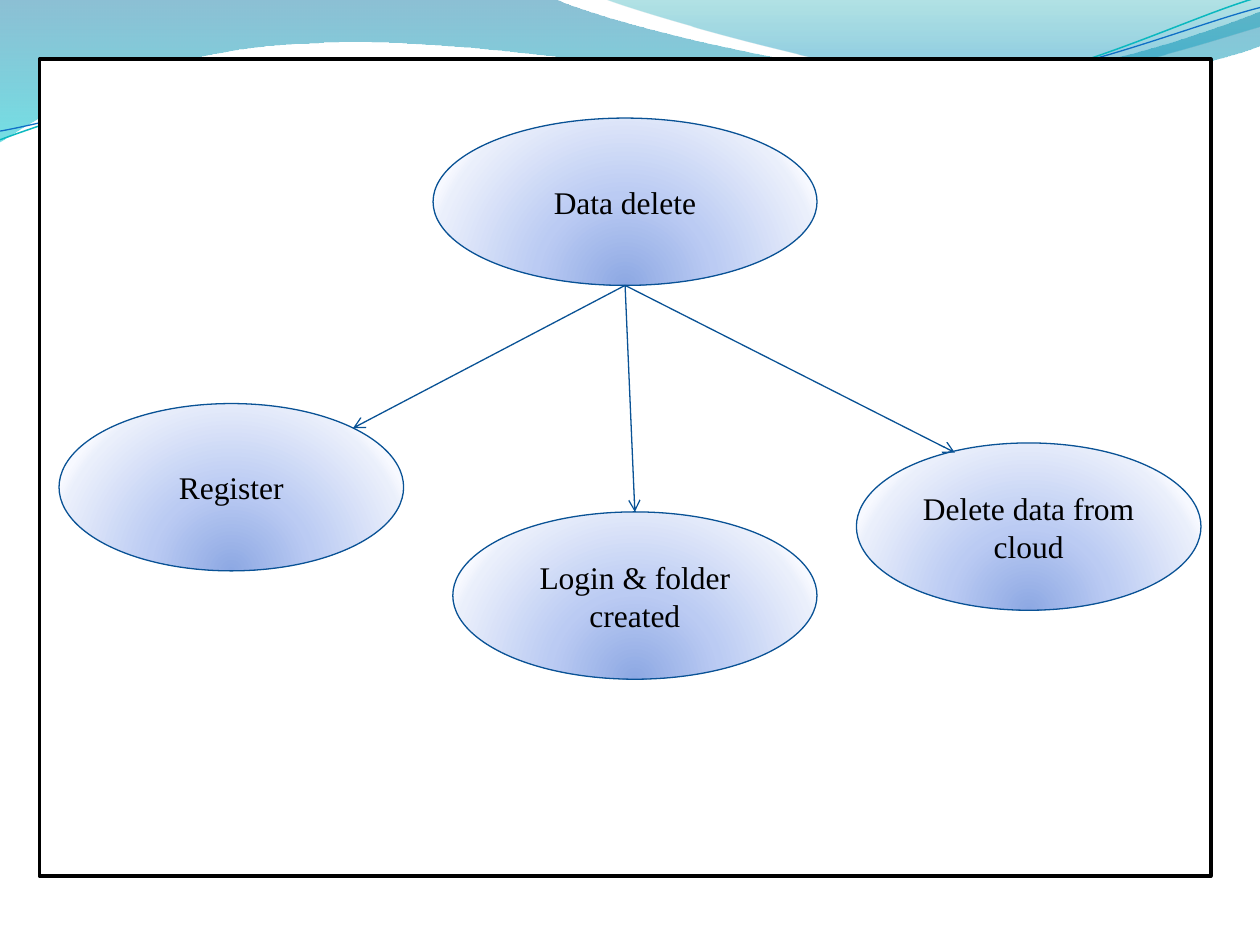
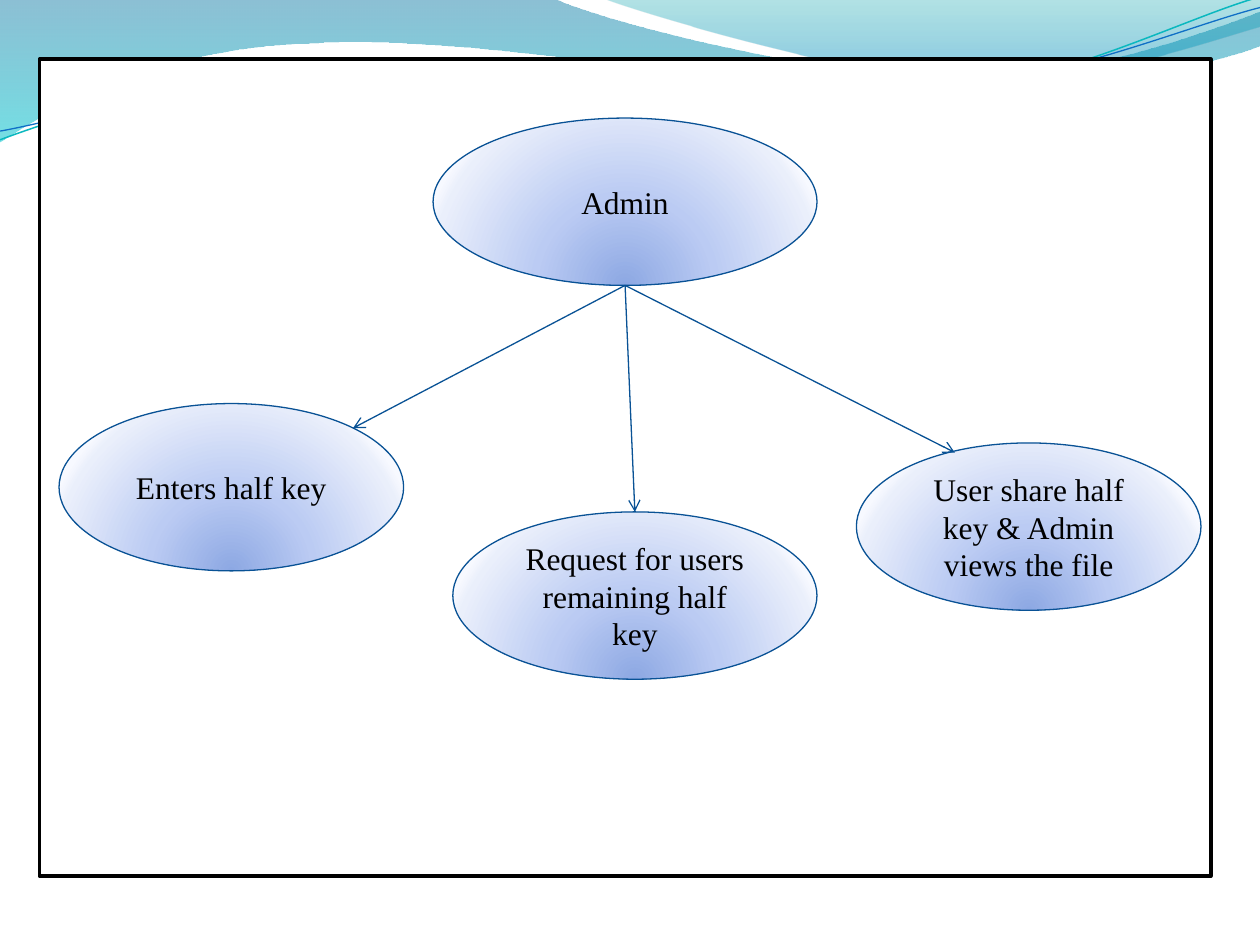
from lxml import etree
from pptx import Presentation
from pptx.dml.color import RGBColor
from pptx.enum import shapes, text
from pptx.oxml import parse_xml
from pptx.oxml.ns import nsdecls, qn
from pptx.util import Pt

DIAGRAMS = [
    ("Data delete", ["Register", "Login & folder created", "Delete data from cloud"]),
    ("Admin", ["Enters half key", "Request for users remaining half key",
               "User share half key & Admin views the file"]),
]

FONT = "Times New Roman"
BLACK = RGBColor(0x00, 0x00, 0x00)
WHITE = RGBColor(0xFF, 0xFF, 0xFF)
NAVY = RGBColor(0x09, 0x52, 0x95)
TEAL = RGBColor(0x0A, 0xB8, 0xBF)
BLUE = RGBColor(0x0F, 0x6F, 0xC6)
NODE_STOPS = [(0, RGBColor(0x8D, 0xA8, 0xE3), 100), (43, RGBColor(0xBB, 0xCB, 0xF3), 100),
              (93, RGBColor(0xEA, 0xEF, 0xFB), 100), (100, RGBColor(0xF7, 0xF9, 0xFF), 100)]
LEFT_STOPS = [(0, RGBColor(0x00, 0x74, 0xA1), 45), (100, RGBColor(0x00, 0xC6, 0xCF), 55)]
RIGHT_STOPS = [(0, RGBColor(0x00, 0xA1, 0xA9), 30), (80, RGBColor(0x00, 0x8B, 0xBF), 45)]
DOWNWARD = '<a:lin ang="5400000" scaled="0"/>'
FROM_BELOW = '<a:path path="circle"><a:fillToRect l="50000" t="130000" r="50000" b="-30000"/></a:path>'

FRAME = (22.5, 33.75, 669.4, 466.9)
NODE_H = 95.6
ROOT = (247.5, 67.5, 219.4, NODE_H)
CHILDREN = [((33.75, 230.6, 196.9, NODE_H), (201.8, 244.6)),
            ((258.75, 292.5, 208.1, NODE_H), (362.8, 292.5)),
            ((489.4, 253.1, 196.9, NODE_H), (545.6, 258.6))]
MIDDLE = 1

BANDS = [
    ([(0, 0), (316.8, -0.7),
      [(342.7, 12.2), (478.1, 45.4), (545.8, 45.4)],
      [(614.2, 45.4), (689.8, 18.7), (720, 6.5)], (720.7, 25.9),
      [(707.8, 31.7), (626.4, 54.7), (537.1, 54)],
      [(446.4, 54), (275, 20.2), (185, 24.5)],
      [(92.9, 25.9), (33.1, 59.8), (-0.7, 81.4)], (0, 0)], LEFT_STOPS),
    ([(344.9, -0.7),
      [(366.5, 7.9), (491, 44.6), (553.7, 46.8)],
      [(616.3, 49.7), (691.9, 23), (720, 15.1)], (720, 0), (344.9, -0.7)], RIGHT_STOPS),
]
WAVES = [
    ([(0, 79.9),
      [(34.6, 67), (113.8, 41), (199.4, 37.4)],
      [(284.4, 33.8), (427, 64.1), (513.4, 57.6)],
      [(599.8, 51.1), (675.4, 10.8), (718.6, -1.4)]], TEAL, 0.85),
    ([(0, 74.9),
      [(33.8, 69.1), (118.1, 43.9), (203.8, 40.3)],
      [(290.2, 36.7), (429.8, 60.5), (516.2, 54)],
      [(601.9, 48.2), (677.5, 15.1), (720, 4.3)]], BLUE, 0.75),
]


def fill_gradient(sp, stops, direction):
    gs = "".join(
        f'<a:gs pos="{pos * 1000}"><a:srgbClr val="{color}">'
        + (f'<a:alpha val="{alpha * 1000}"/>' if alpha < 100 else "")
        + "</a:srgbClr></a:gs>"
        for pos, color, alpha in stops)
    sp.fill.background()
    spPr = sp.element.spPr
    spPr.replace(spPr.find(qn("a:noFill")), parse_xml(
        f'<a:gradFill {nsdecls("a")} rotWithShape="1"><a:gsLst>{gs}</a:gsLst>{direction}</a:gradFill>'))


def set_line(sp, color, width):
    sp.line.color.rgb = color
    sp.line.width = Pt(width)


def add_outline(slide, outline, close):
    steps = [step if isinstance(step, list) else [step] for step in outline]
    start, *rest = [(Pt(x), Pt(y)) for step in steps for x, y in step]
    builder = slide.shapes.build_freeform(*start)
    builder.add_line_segments(rest, close=close)
    sp = builder.convert_to_shape()
    sp.shadow.inherit = False
    lines = iter(list(sp.element.iter(qn("a:lnTo"))))
    for step in steps[1:]:
        first, *others = [next(lines) for _ in step]
        if others:
            curve = etree.Element(qn("a:cubicBezTo"))
            first.addprevious(curve)
            for line in (first, *others):
                curve.append(line[0])
                line.getparent().remove(line)
    return sp


def decorate_layout(layout, slide):
    for ph in list(layout.placeholders):
        layout.shapes.element.remove(ph.element)
    parts = []
    for outline, stops in BANDS:
        sp = add_outline(slide, outline, True)
        fill_gradient(sp, stops, DOWNWARD)
        sp.line.fill.background()
        parts.append(sp)
    for outline, color, width in WAVES:
        sp = add_outline(slide, outline, False)
        sp.fill.background()
        set_line(sp, color, width)
        parts.append(sp)
    for sp in parts:
        layout.shapes.element.append(sp.element)


def add_frame(slide):
    sp = slide.shapes.add_shape(shapes.MSO_SHAPE.RECTANGLE, *map(Pt, FRAME))
    sp.shadow.inherit = False
    sp.fill.solid()
    sp.fill.fore_color.rgb = WHITE
    set_line(sp, BLACK, 2)


def add_node(slide, box, label):
    sp = slide.shapes.add_shape(shapes.MSO_SHAPE.OVAL, *map(Pt, box))
    sp.shadow.inherit = False
    fill_gradient(sp, NODE_STOPS, FROM_BELOW)
    set_line(sp, NAVY, 0.75)
    tf = sp.text_frame
    tf.word_wrap = True
    tf.vertical_anchor = text.MSO_ANCHOR.MIDDLE
    p = tf.paragraphs[0]
    p.text = label
    p.alignment = text.PP_ALIGN.CENTER
    p.font.name = FONT
    p.font.size = Pt(18)
    p.font.color.rgb = BLACK
    return sp


def add_arrow(slide, start, end):
    cx = slide.shapes.add_connector(shapes.MSO_CONNECTOR.STRAIGHT, *map(Pt, start + end))
    set_line(cx, NAVY, 0.75)
    spPr = cx.element.spPr
    etree.SubElement(spPr.find(qn("a:ln")), qn("a:tailEnd"), type="arrow")
    etree.SubElement(spPr, qn("a:effectLst"))
    return cx


def add_diagram(slide, root, labels):
    add_frame(slide)
    add_node(slide, ROOT, root)
    nodes = [add_node(slide, box, label) for (box, _), label in zip(CHILDREN, labels)]
    x, y, w, h = ROOT
    arrows = [add_arrow(slide, (x + w / 2, y + h), tip) for _, tip in CHILDREN]
    arrows[MIDDLE].end_connect(nodes[MIDDLE], 0)


def main():
    prs = Presentation()
    prs.slide_width, prs.slide_height = Pt(720), Pt(540)
    layout = prs.slide_layouts[6]
    slides = [prs.slides.add_slide(layout) for _ in DIAGRAMS]
    decorate_layout(layout, slides[0])
    for slide, (root, labels) in zip(slides, DIAGRAMS):
        add_diagram(slide, root, labels)
    prs.save("out.pptx")


if __name__ == "__main__":
    main()
